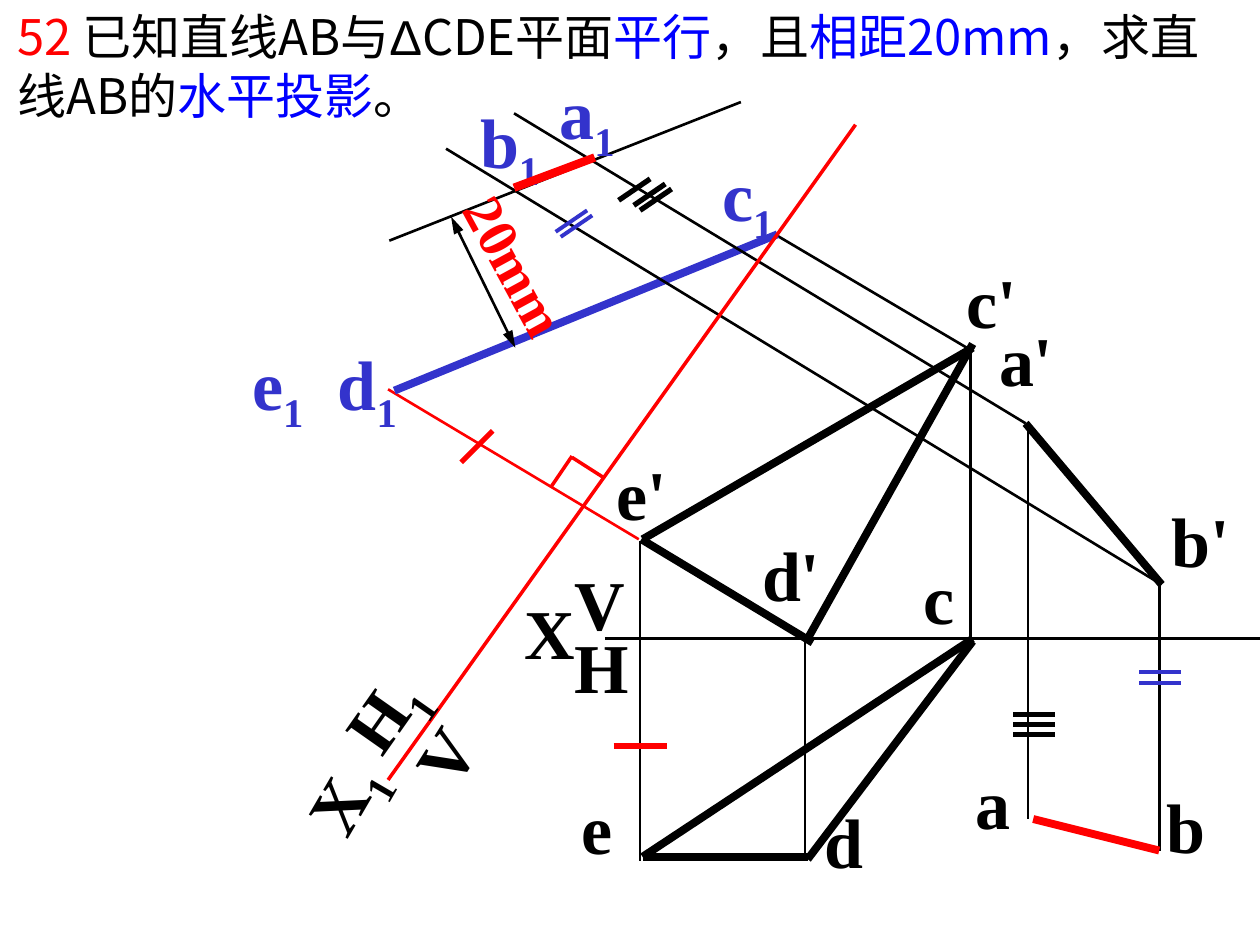
from lxml import etree
from pptx import Presentation
from pptx.dml.color import RGBColor
from pptx.enum.shapes import MSO_CONNECTOR
from pptx.enum.text import MSO_ANCHOR, MSO_AUTO_SIZE, PP_ALIGN
from pptx.oxml.ns import qn
from pptx.util import Pt

PX = 9144
STRAIGHT = MSO_CONNECTOR.STRAIGHT
TOP = MSO_ANCHOR.TOP
NO_AUTOSIZE = MSO_AUTO_SIZE.NONE
FIT_SHAPE = MSO_AUTO_SIZE.SHAPE_TO_FIT_TEXT
LEFT, CENTER = PP_ALIGN.LEFT, PP_ALIGN.CENTER
CJK, LATIN, SERIF = "Noto Sans CJK SC", "Arial", "Times New Roman"
COLORS = {"black": "000000", "red": "FF0000", "blue": "0000FF", "violet": "3333CC"}

presentation = Presentation()
presentation.slide_width = 1000 * PX
presentation.slide_height = 750 * PX
slide = presentation.slides.add_slide(presentation.slide_layouts[5])


def add_line(x1, y1, x2, y2, color, width):
    line = slide.shapes.add_connector(STRAIGHT, x1 * PX, y1 * PX, x2 * PX, y2 * PX)
    line.line.color.rgb = RGBColor.from_string(COLORS[color])
    line.line.width = Pt(width)
    etree.SubElement(line._element.spPr, qn("a:effectLst"))
    return line


def add_run(paragraph, text, size, font_name, color, bold):
    run = paragraph.add_run()
    run.text = text
    run.font.size = Pt(size)
    run.font.name = font_name
    run.font.bold = bold
    run.font.color.rgb = RGBColor.from_string(COLORS[color])
    etree.SubElement(run._r.get_or_add_rPr(), qn("a:ea"), typeface=font_name)
    return run


title = slide.shapes.title
title.left, title.top, title.width, title.height = 4 * PX, 0, 990 * PX, 104 * PX
title_frame = title.text_frame
title_frame.word_wrap = True
title_frame.auto_size = NO_AUTOSIZE
title_frame.vertical_anchor = TOP
title_paragraph = title_frame.paragraphs[0]
title_paragraph.alignment = LEFT
for text, font_name, color in [
    ("52 ", CJK, "red"),
    ("已知直线AB与", CJK, "black"),
    ("Δ", LATIN, "black"),
    ("CDE平面", CJK, "black"),
    ("平行", CJK, "blue"),
    ("，且", CJK, "black"),
    ("相距20mm", CJK, "blue"),
    ("，求直线AB的", CJK, "black"),
    ("水平投影", CJK, "blue"),
    ("。", CJK, "black"),
]:
    add_run(title_paragraph, text, 28, font_name, color, False)

construction_lines = [
    (769, 277, 615, 186, "black", 1.5),
    (507, 428, 308, 309, "red", 1.5),
    (313, 310, 617, 186, "violet", 4.5),
    (814, 336, 408, 90, "black", 1.5),
    (922, 464, 354, 118, "black", 1.5),
    (639, 680, 639, 507, "black", 1.5),
    (480, 507, 1004, 507, "black", 1.5),
    (508, 683, 508, 429, "black", 1.5),
    (770, 510, 770, 276, "black", 1.5),
    (920, 459, 920, 675, "black", 1.5),
    (816, 342, 816, 650, "black", 1.5),
    (309, 191, 588, 81, "black", 1.5),
]
projection_edges = [
    (510, 680, 641, 680, "black", 4.5),
    (641, 682, 772, 509, "black", 4.5),
    (772, 507, 510, 680, "black", 4.5),
    (641, 507, 772, 273, "black", 4.5),
    (510, 428, 772, 276, "black", 4.5),
    (645, 510, 509, 428, "black", 4.5),
    (814, 336, 922, 464, "black", 4.5),
]
new_axis_and_right_angle = [
    (679, 99, 308, 619, "red", 2),
    (437, 387, 454, 362, "red", 2),
    (454, 363, 479, 379, "red", 2),
]
for line in construction_lines + projection_edges + new_axis_and_right_angle:
    add_line(*line)

labels = [
    ("X", 406, 463, 60, 77, "black", 0),
    ("V", 446, 440, 60, 77, "black", 0),
    ("H", 446, 490, 63, 77, "black", 0),
    ("e", 452, 618, 44, 77, "black", 0),
    ("d", 644, 629, 51, 77, "black", 0),
    ("c", 723, 435, 44, 77, "black", 0),
    ("d'", 595, 417, 66, 77, "black", 0),
    ("e'", 479, 353, 60, 77, "black", 0),
    ("c'", 757, 200, 60, 77, "black", 0),
    ("a'", 783, 246, 63, 77, "black", 0),
    ("b'", 920, 390, 66, 77, "black", 0),
    ("b", 916, 617, 51, 77, "black", 0),
    ("a", 764, 598, 48, 77, "black", 0),
    ("a1", 434, 50, 64, 86, "violet", 0),
    ("b1", 371, 73, 67, 86, "violet", 0),
    ("c1", 563, 115, 61, 86, "violet", 0),
    ("e1", 190, 265, 61, 86, "violet", 0),
    ("d1", 258, 265, 67, 86, "violet", 0),
    ("X1", 237, 591, 76, 86, "black", 300.2),
    ("V", 323, 561, 60, 77, "black", 302.1),
    ("H1", 267, 525, 79, 86, "black", 305.1),
    ("20mm", 330, 179, 160, 64, "red", 61.4),
]
for text, left, top, width, height, color, rotation in labels:
    label = slide.shapes.add_textbox(left * PX, top * PX, width * PX, height * PX)
    label.rotation = rotation
    label.text_frame.word_wrap = False
    label.text_frame.auto_size = NO_AUTOSIZE if rotation else FIT_SHAPE
    paragraph = label.text_frame.paragraphs[0]
    paragraph.alignment = CENTER
    size = 32 if text == "20mm" else 40
    letter = text.removesuffix("1")
    add_run(paragraph, letter, size, SERIF, color, True)
    if letter != text:
        subscript = add_run(paragraph, "1", size, SERIF, color, True)
        subscript._r.get_or_add_rPr().set("baseline", "-25000")

add_line(366, 367, 391, 342, "red", 3)
add_line(487, 592, 529, 592, "red", 3)
for y in (533, 542):
    add_line(904, y, 937, y, "violet", 2.25)
for y in (567, 575, 583):
    add_line(804, y, 837, y, "black", 3)
for x, y, color, width in [
    (441, 184, "violet", 2.25),
    (445, 188, "violet", 2.25),
    (491, 159, "black", 3),
    (503, 163, "black", 3),
    (508, 167, "black", 3),
]:
    add_line(x, y, x + 25, y - 17, color, width)

distance_arrow = add_line(409, 276, 358, 172, "black", 1.5)
for end in ("a:headEnd", "a:tailEnd"):
    etree.SubElement(
        distance_arrow.line._get_or_add_ln(), qn(end), type="triangle", w="med", len="lg"
    )

add_line(408, 149, 472, 125, "red", 4.75)
add_line(820, 650, 920, 675, "red", 4.5)

presentation.save("out.pptx")
